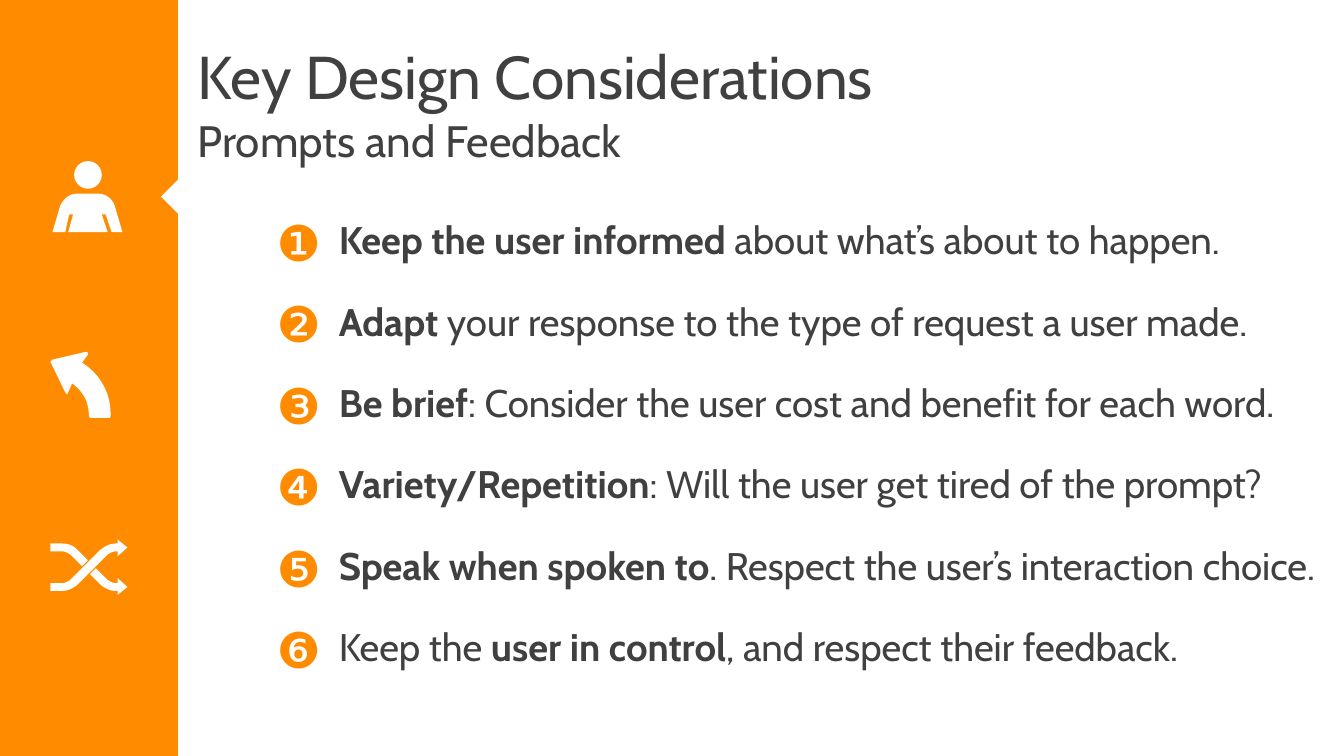
from dataclasses import dataclass

from pptx import Presentation
from pptx.dml.color import RGBColor
from pptx.enum.shapes import MSO_SHAPE
from pptx.enum.text import MSO_ANCHOR, PP_ALIGN
from pptx.util import Inches, Pt


@dataclass(frozen=True)
class Theme:
    font: str = "Cabin"
    text: RGBColor = RGBColor(0x40, 0x40, 0x40)
    accent: RGBColor = RGBColor(0xFF, 0x8C, 0x00)
    white: RGBColor = RGBColor(0xFF, 0xFF, 0xFF)
    title_size: int = 44
    subtitle_size: int = 32
    body_size: int = 28
    badge_size: int = 36


THEME = Theme()
PAGE_WIDTH, PAGE_HEIGHT = 13.6, 7.65
SIDEBAR_WIDTH = 1.8
ROW_WIDTH = 9.61

# Badge, text box width, then (wording, bold) spans
CONSIDERATIONS = [
    ("❶", ROW_WIDTH, [("Keep the user informed", True), (" about what’s about to happen.", False)]),
    ("❷", ROW_WIDTH, [("Adapt", True), (" your response to the type of request a user made.", False)]),
    ("❸", 9.8, [("Be brief", True), (": Consider the user cost and benefit for each word.", False)]),
    ("❹", ROW_WIDTH, [("Variety/Repetition", True), (": Will the user get tired of the prompt?", False)]),
    ("❺", 10.27, [("Speak when spoken to", True), (". Respect the user’s interaction choice.", False)]),
    ("❻", ROW_WIDTH, [("Keep the ", False), ("user in control", True), (", and respect their feedback.", False)]),
]

# Outlines in inches from the icon's corner: two numbers are a corner,
# six are a Bézier curve (two control points and an end point).
POINTER = [(0.21, 0), (0.21, 0.42), (0, 0.21)]
PERSON_BODY = [
    (0.6, 0.72), (0.71, 0.72), (0.63, 0.45), (0.62, 0.41, 0.56, 0.33, 0.47, 0.33),
    (0.25, 0.33), (0.15, 0.33, 0.1, 0.41, 0.08, 0.45), (0, 0.72), (0.13, 0.72),
    (0.17, 0.54), (0.21, 0.54), (0.16, 0.72), (0.56, 0.72), (0.5, 0.54), (0.54, 0.54),
]
BENT_ARROW = [
    (0.61, 0.65), (0.61, 0.57, 0.6, 0.49, 0.57, 0.41), (0.52, 0.28, 0.43, 0.18, 0.32, 0.11),
    (0.38, 0.03), (0.38, 0.01), (0.36, 0), (0.02, 0.08), (0, 0.1), (0.15, 0.41),
    (0.17, 0.43), (0.18, 0.41), (0.22, 0.32), (0.28, 0.36, 0.33, 0.42, 0.36, 0.49),
    (0.38, 0.54, 0.39, 0.6, 0.39, 0.65), (0.4, 0.67), (0.6, 0.67),
]
SHUFFLE_STRANDS = [
    [(0.78, 0.08), (0.68, 0), (0.68, 0.04), (0.66, 0.04), (0.6, 0.04, 0.55, 0.07, 0.51, 0.1),
     (0.21, 0.4), (0.19, 0.42, 0.15, 0.44, 0.12, 0.44), (0, 0.44), (0, 0.52), (0.12, 0.52),
     (0.18, 0.52, 0.23, 0.49, 0.27, 0.46), (0.57, 0.16),
     (0.59, 0.14, 0.63, 0.12, 0.66, 0.12), (0.68, 0.12), (0.68, 0.17)],
    [(0.32, 0.27), (0.38, 0.21), (0.27, 0.1), (0.23, 0.06, 0.18, 0.04, 0.12, 0.04),
     (0, 0.04), (0, 0.12), (0.12, 0.12), (0.15, 0.12, 0.19, 0.14, 0.21, 0.16)],
    [(0.78, 0.48), (0.68, 0.39), (0.68, 0.44), (0.66, 0.44), (0.63, 0.44, 0.59, 0.42, 0.57, 0.4),
     (0.46, 0.29), (0.4, 0.35), (0.51, 0.46), (0.55, 0.49, 0.6, 0.52, 0.66, 0.52),
     (0.68, 0.52), (0.68, 0.56)],
]


def paint(shape, color):
    shape.shadow.inherit = False
    shape.fill.solid()
    shape.fill.fore_color.rgb = color
    shape.line.fill.background()


def add_preset(page, kind, left, top, width, height, color):
    shape = page.shapes.add_shape(kind, Inches(left), Inches(top), Inches(width), Inches(height))
    paint(shape, color)
    return shape


def flatten(outline, steps=8):
    """Turn the curves of an outline into short straight lines."""
    points = []
    for entry in outline:
        if len(entry) == 2:
            points.append(entry)
            continue
        start, first, second, end = points[-1], entry[:2], entry[2:4], entry[4:]
        for step in range(1, steps + 1):
            t = step / steps
            u = 1 - t
            points.append(tuple(
                u**3 * a + 3 * u * u * t * b + 3 * u * t * t * c + t**3 * d
                for a, b, c, d in zip(start, first, second, end)))
    return points


def add_outline(page, left, top, outline):
    points = [(Inches(left + x), Inches(top + y)) for x, y in flatten(outline)]
    builder = page.shapes.build_freeform(*points[0])
    builder.add_line_segments(points[1:], close=True)
    paint(builder.convert_to_shape(), THEME.white)


def add_text(page, left, top, width, height, spans, size, insets, wrap=True, after=0):
    box = page.shapes.add_textbox(Inches(left), Inches(top), Inches(width), Inches(height))
    frame = box.text_frame
    frame.word_wrap = wrap
    frame.margin_left, frame.margin_top, frame.margin_right, frame.margin_bottom = map(Inches, insets)
    para = frame.paragraphs[0]
    para.line_spacing = 0.9
    para.space_after = Pt(after)
    para.font.name = THEME.font
    para.font.size = Pt(size)
    para.font.color.rgb = THEME.text
    for wording, bold in spans:
        span = para.add_run()
        span.text = wording
        span.font.bold = bold


def add_heading(page, left, top):
    add_text(page, left, top, 11.5, 0.99, [("Key Design Considerations", False)],
             THEME.title_size, (0.2, 0.16, 0.2, 0.16), after=6)
    add_text(page, left, top + 0.73, 4.51, 0.81, [("Prompts and Feedback", False)],
             THEME.subtitle_size, (0.2, 0.16, 0, 0.16), wrap=False, after=6)


def add_badge(page, left, top, width, height, symbol):
    badge = add_preset(page, MSO_SHAPE.RECTANGLE, left, top, width, height, THEME.white)
    badge.text_frame.vertical_anchor = MSO_ANCHOR.MIDDLE
    para = badge.text_frame.paragraphs[0]
    para.text = symbol
    para.alignment = PP_ALIGN.CENTER
    para.font.name = THEME.font
    para.font.size = Pt(THEME.badge_size)
    para.font.color.rgb = THEME.accent


def add_considerations(page, left, top, height):
    row_height = 0.71
    pitch = (height - row_height) / (len(CONSIDERATIONS) - 1)
    for index, (symbol, width, spans) in enumerate(CONSIDERATIONS):
        row_top = top + index * pitch
        add_badge(page, left, row_top, 0.62, row_height, symbol)
        add_text(page, left + 0.63, row_top, width, row_height, spans,
                 THEME.body_size, (0.1, 0.15, 0.1, 0.05))


def add_sidebar(page, left, top, width, height):
    add_preset(page, MSO_SHAPE.RECTANGLE, left, top, width, height, THEME.accent)
    add_outline(page, left + width - 0.17, top + 1.78, POINTER)
    add_preset(page, MSO_SHAPE.OVAL, left + 0.75, top + 1.63, 0.28, 0.28, THEME.white)
    add_outline(page, left + 0.53, top + 1.63, PERSON_BODY)
    add_outline(page, left + 0.51, top + 3.56, BENT_ARROW)
    for strand in SHUFFLE_STRANDS:
        add_outline(page, left + 0.51, top + 5.46, strand)


def main():
    deck = Presentation()
    deck.slide_width, deck.slide_height = Inches(PAGE_WIDTH), Inches(PAGE_HEIGHT)
    page = deck.slides.add_slide(deck.slide_layouts[6])
    add_heading(page, SIDEBAR_WIDTH, 0.32)
    add_considerations(page, 2.7, 2.09, 4.83)
    add_sidebar(page, 0, 0, SIDEBAR_WIDTH, PAGE_HEIGHT)
    deck.save("out.pptx")


if __name__ == "__main__":
    main()
